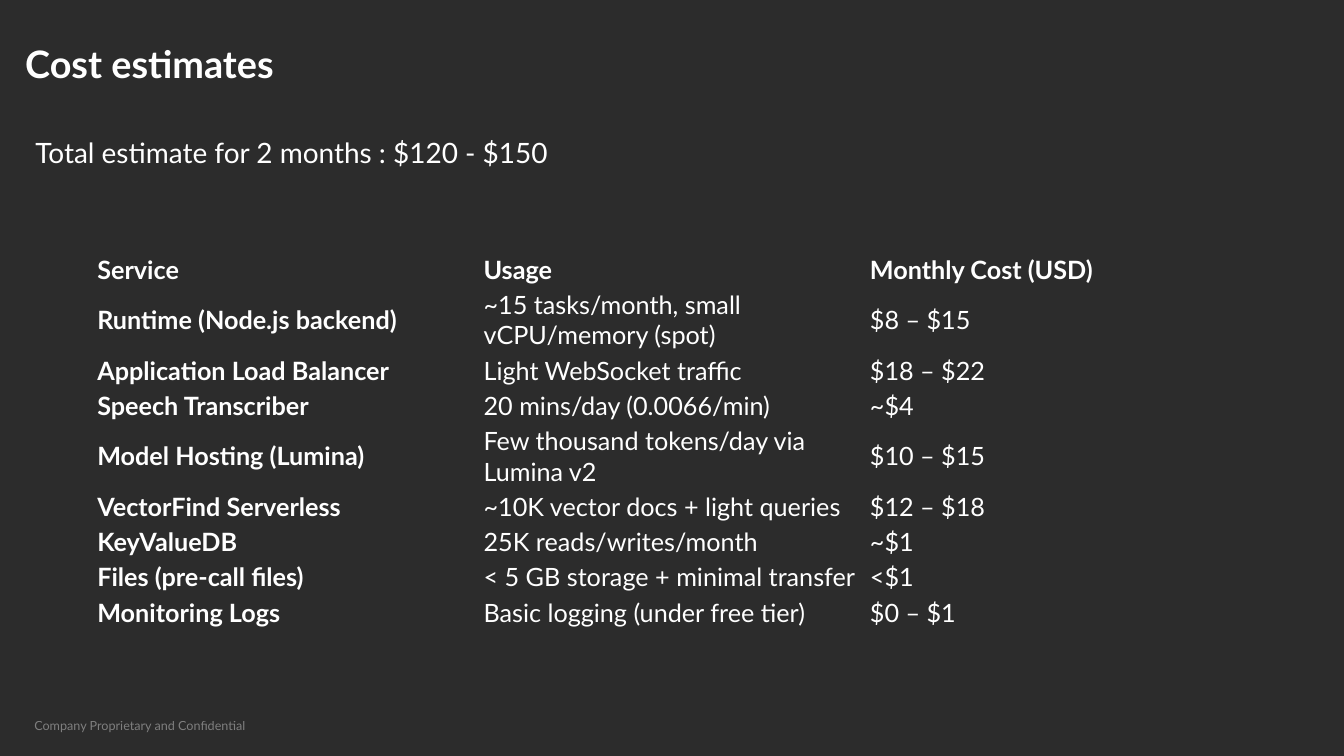
from lxml.etree import SubElement
from pptx import Presentation
from pptx.dml.color import RGBColor
from pptx.enum.text import MSO_ANCHOR as Anchor, MSO_AUTO_SIZE as AutoSize, PP_ALIGN as Align
from pptx.oxml.ns import qn
from pptx.util import Cm, Pt

WHITE = "FFFFFF"
NO_GRID_STYLE = "{2D5ABB26-0587-4C30-8999-92F81FD0307C}"


def color(hex_string):
    return RGBColor.from_string(hex_string)


def format_text(text_frame, size, hex_string=WHITE, bold=False):
    for paragraph in text_frame.paragraphs:
        paragraph.alignment = Align.LEFT
        for run in paragraph.runs:
            run.font.name = "Lato"
            run.font.size = Pt(size)
            run.font.bold = bold
            run.font.color.rgb = color(hex_string)


presentation = Presentation()
presentation.slide_width = Cm(67.74)
presentation.slide_height = Cm(38.1)
slide = presentation.slides.add_slide(presentation.slide_layouts[1])
slide.background.fill.solid()
slide.background.fill.fore_color.rgb = color("2C2C2C")

footer = slide.shapes.add_textbox(Cm(1.6), Cm(36.07), Cm(16.26), Cm(1.02))
footer_frame = footer.text_frame
footer_frame.word_wrap = True
footer_frame.margin_left = footer_frame.margin_right = Cm(0.13)
footer_frame.margin_top = footer_frame.margin_bottom = Cm(0.13)
footer_frame.text = "Company Proprietary and Confidential"
format_text(footer_frame, 18, "BFBFBF")
footer_color = next(footer_frame.paragraphs[0].runs[0].font._element.iter(qn("a:srgbClr")))
SubElement(footer_color, qn("a:alpha"), val="57000")

title = slide.shapes.title
title.left, title.top, title.width, title.height = Cm(1.27), Cm(1.27), Cm(65.18), Cm(3.81)
title_frame = title.text_frame
title_frame.text = "Cost estimates"
title_frame.auto_size = AutoSize.NONE
title_frame.vertical_anchor = Anchor.MIDDLE
title_frame.margin_left = title_frame.margin_right = 0
title_frame.margin_top = title_frame.margin_bottom = Cm(0.25)
title_frame.paragraphs[0].space_before = Pt(15)
format_text(title_frame, 54, bold=True)

body = slide.placeholders[1]
body.left, body.top, body.width, body.height = Cm(1.27), Cm(6.35), Cm(65.18), Cm(27.94)
body_frame = body.text_frame
body_frame.text = "Total estimate for 2 months : $120 - $150"
body_frame.auto_size = AutoSize.NONE
body_frame.margin_left, body_frame.margin_right = Cm(0.51), Cm(0.25)
body_frame.margin_top = body_frame.margin_bottom = Cm(0.13)
summary = body_frame.paragraphs[0]
summary.line_spacing = 1.2
summary.space_before = Pt(0)
summary.space_after = Pt(24)
format_text(body_frame, 40)
summary_properties = summary._p.get_or_add_pPr()
summary_properties.set("marL", "0")
summary_properties.set("indent", "0")
SubElement(summary_properties, qn("a:buNone"))

costs = [
    ("Service", "Usage", "Monthly Cost (USD)"),
    ("Runtime (Node.js backend)", "~15 tasks/month, small vCPU/memory (spot)", "$8 – $15"),
    ("Application Load Balancer", "Light WebSocket traffic", "$18 – $22"),
    ("Speech Transcriber", "20 mins/day (0.0066/min)", "~$4"),
    ("Model Hosting (Lumina)", "Few thousand tokens/day via Lumina v2", "$10 – $15"),
    ("VectorFind Serverless", "~10K vector docs + light queries", "$12 – $18"),
    ("KeyValueDB", "25K reads/writes/month", "~$1"),
    ("Files (pre-call files)", "< 5 GB storage + minimal transfer", "<$1"),
    ("Monitoring Logs", "Basic logging (under free tier)", "$0 – $1"),
]
wrapped_rows = (1, 4)

table_frame = slide.shapes.add_table(len(costs), 3, Cm(4.65), Cm(12.7), Cm(58.42), Cm(19.05))
table = table_frame.table
table.first_row = False
table.horz_banding = False
table._tbl.tblPr.find(qn("a:tableStyleId")).text = NO_GRID_STYLE
for column in table.columns:
    column.width = Cm(19.47)
for row_index, values in enumerate(costs):
    table.rows[row_index].height = Cm(3.3 if row_index in wrapped_rows else 1.77)
    for column_index, value in enumerate(values):
        cell = table.cell(row_index, column_index)
        cell.fill.background()
        cell.vertical_anchor = Anchor.MIDDLE
        cell.text_frame.text = value
        format_text(cell.text_frame, 36, bold=row_index == 0 or column_index == 0)

presentation.save("out.pptx")
